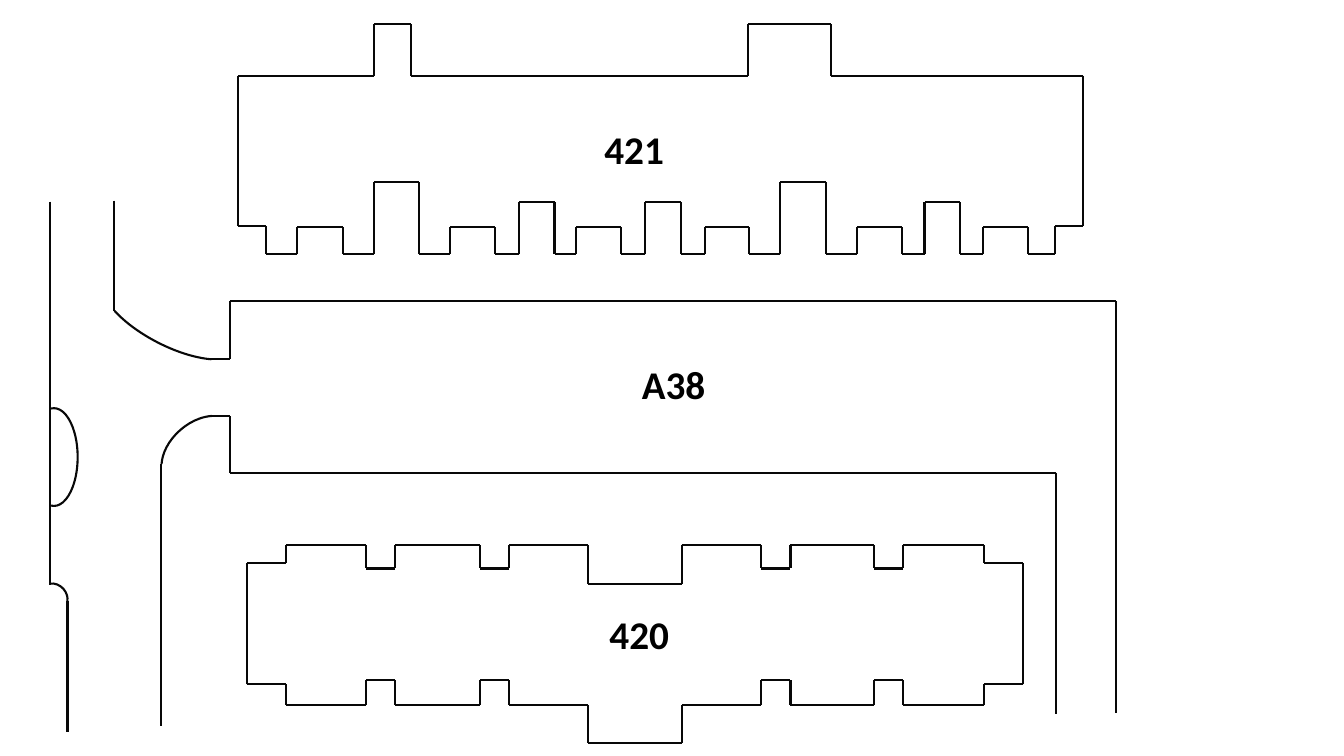
from itertools import pairwise

from lxml import etree
from pptx import Presentation
from pptx.dml.color import RGBColor as RGB
from pptx.enum.shapes import MSO_CONNECTOR as CONN, MSO_SHAPE as SHAPE
from pptx.enum.text import MSO_AUTO_SIZE as AUTO, PP_ALIGN as ALIGN
from pptx.oxml.ns import qn
from pptx.util import Inches, Pt

THEME = {"ink": RGB(0x08, 0x08, 0x08), "text": RGB(0, 0, 0),
         "font": "Calibri", "label": 28, "stroke": 1.5}

prs = Presentation()
prs.slide_width, prs.slide_height = Inches(13.33), Inches(7.5)
s = prs.slides.add_slide(prs.slide_layouts[6])


def add_text(text, x, y, w=1.12, h=0.57, size=THEME["label"], bold=True, align=ALIGN.CENTER):
    tf = s.shapes.add_textbox(*map(Inches, (x, y, w, h))).text_frame
    tf.word_wrap = True
    tf.auto_size = AUTO.SHAPE_TO_FIT_TEXT
    p = tf.paragraphs[0]
    p.alignment = align
    r = p.add_run()
    r.text = text
    r.font.name, r.font.size, r.font.bold = THEME["font"], Pt(size), bold
    r.font.color.rgb = THEME["text"]


def trace(shapes, points):
    """Join consecutive points with straight lines."""
    for start, end in pairwise(points):
        line = shapes.add_connector(CONN.STRAIGHT, *map(Inches, start + end))
        line.line.color.rgb = THEME["ink"]
        line.line.width = Pt(THEME["stroke"])
        etree.SubElement(line._element.spPr, qn("a:effectLst"))


# Buildings: west corner (bottom to top), then steps (left, right, y) in each long wall
small, medium, deep = 2.25, 2.0, 1.81
bays_420 = [(3.63, 3.92), (4.76, 5.05), (5.83, 6.76), (7.55, 7.84), (8.67, 8.96)]
buildings = [
    {"axis": 6.55,
     "west": [(2.64, 2.52), (2.64, 2.24), (2.36, 2.24), (2.36, 0.75)],
     "top": [(3.71, 4.08, 0.24), (7.42, 8.24, 0.24)],
     "bottom": [(2.95, 3.4, small), (3.71, 4.16, deep), (4.46, 4.91, small),
                (5.15, 5.5, medium), (5.71, 6.16, small), (6.4, 6.75, medium),
                (6.99, 7.43, small), (7.74, 8.19, deep), (8.5, 8.95, small),
                (9.17, 9.52, medium), (9.75, 10.2, small)]},
    {"axis": 6.3,
     "west": [(2.84, 6.99), (2.84, 6.79), (2.45, 6.79),
              (2.45, 5.59), (2.84, 5.59), (2.84, 5.41)],
     "top": [(l, r, 5.79 if i == 2 else 5.64) for i, (l, r) in enumerate(bays_420)],
     "bottom": [(l, r, 7.37 if i == 2 else 6.75) for i, (l, r) in enumerate(bays_420)]},
]
for b in buildings:
    west = b["west"]
    east = [(2 * b["axis"] - x, y) for x, y in reversed(west)]
    walls = {}
    for side, base in (("top", west[-1][1]), ("bottom", west[0][1])):
        walls[side] = [pt for l, r, y in b[side]
                       for pt in ((l, base), (l, y), (r, y), (r, base))]
    outline = west + walls["top"] + east + walls["bottom"][::-1] + west[:1]
    trace(s.shapes.add_group_shape().shapes, outline)

# Court edges and roads
roads = [
    [(2.09, 3.56), (2.28, 3.56), (2.28, 2.99), (11.07, 2.99), (11.07, 7.07)],
    [(2.09, 4.13), (2.28, 4.13), (2.28, 4.69), (10.47, 4.69), (10.47, 7.08)],
    [(1.13, 1.99), (1.13, 3.09)],
    [(1.6, 4.6), (1.6, 7.2)],
    [(0.67, 5.96), (0.67, 7.26)],
    [(0.5, 2), (0.5, 5.8)],
]
for road in roads:
    trace(s.shapes, road)

# Curved kerbs: box, rotation, start and end of the arc
kerbs = [
    ((0.95, 2.84, 1.5, 0.59), 207.1, (120.11, 202.89)),
    ((1.55, 4.19, 0.88, 0.61), 319.1, (123.11, 196.49)),
    ((0.05, 4.3, 0.97, 0.47), 90, (106.03, 2.04)),
    ((0.39, 5.8, 0.29, 0.25), 47.6, (123.11, 196.49)),
]
for box, rotation, span in kerbs:
    sp = s.shapes.add_shape(SHAPE.ARC, *map(Inches, box))
    sp.rotation = rotation
    sp.adjustments[0], sp.adjustments[1] = span
    sp.shadow.inherit = False
    sp.fill.background()
    sp.line.color.rgb = THEME["ink"]
    sp.line.width = Pt(THEME["stroke"])

# Labels
for label, x, y in (("A38", 6.12, 3.53), ("420", 5.78, 6.01), ("421", 5.73, 1.19)):
    add_text(label, x, y)

prs.save("out.pptx")
